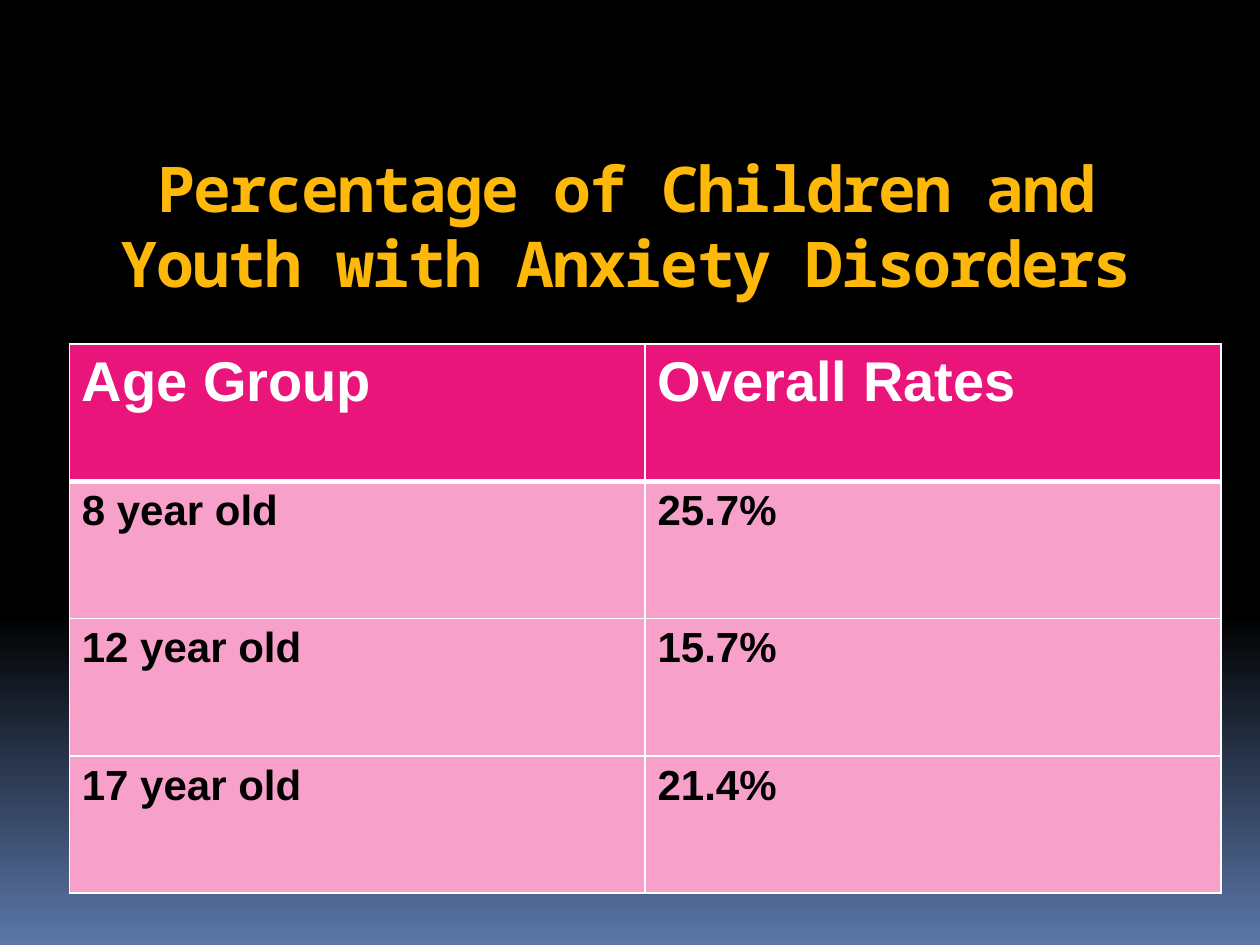
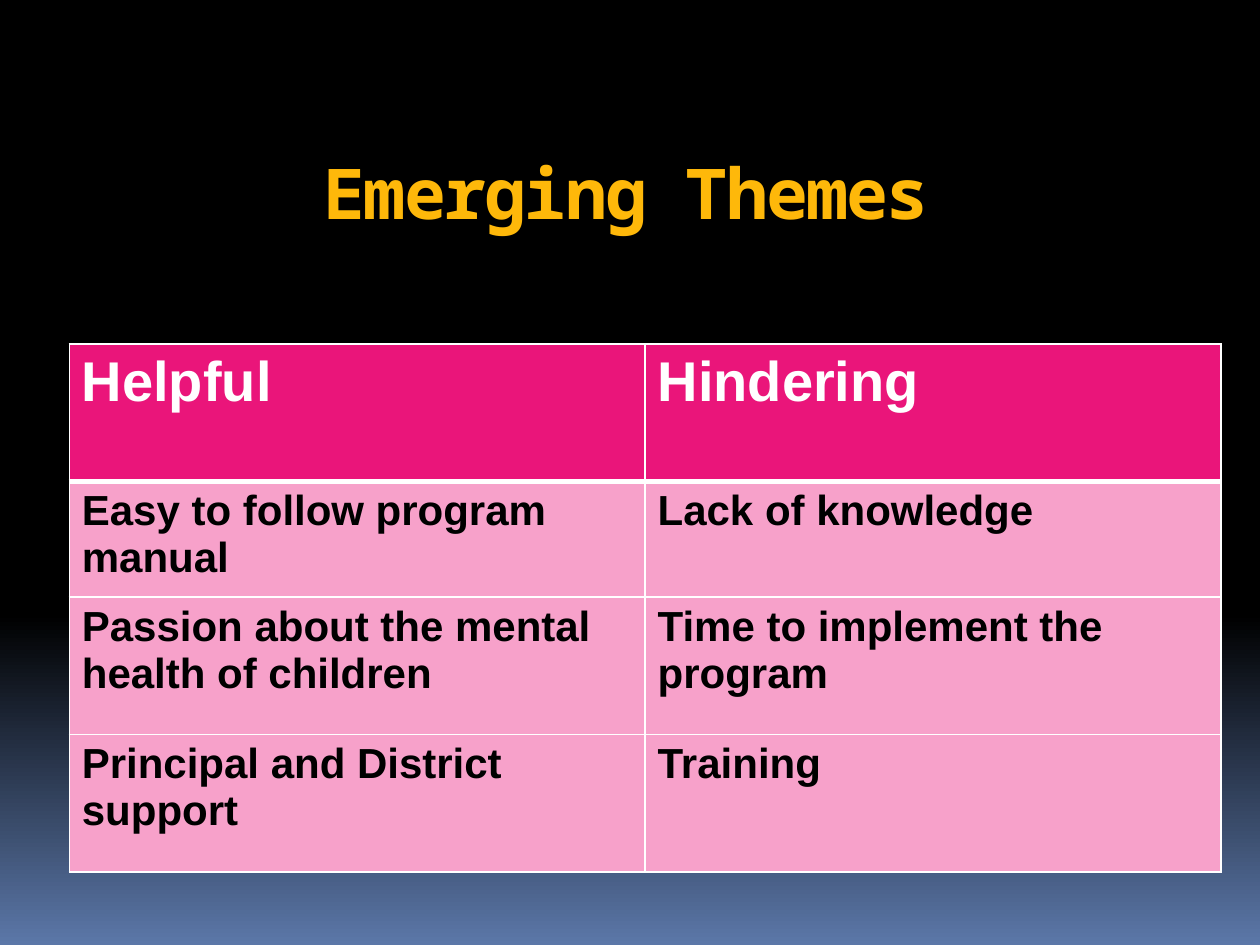
from copy import deepcopy
from dataclasses import dataclass

from lxml.etree import SubElement
from pptx import Presentation
from pptx.dml.color import RGBColor as Color
from pptx.enum.text import MSO_ANCHOR as Anchor, MSO_AUTO_SIZE as AutoSize, PP_ALIGN as Align
from pptx.oxml.ns import qn
from pptx.presentation import Presentation as Deck
from pptx.table import _Cell as Cell
from pptx.util import Inches, Pt

TITLE_ONLY = 5


@dataclass(frozen=True)
class Theme:
    title_font: str = "Noto Sans Mono"
    table_font: str = "Arial"
    title_color: str = "FEB80A"
    header_fill: str = "EA157A"
    body_fill: str = "F7A1CA"
    header_text: str = "FFFFFF"
    body_text: str = "000000"
    border: str = "FFFFFF"
    header_size: int = 32
    body_size: int = 24
    thin: int = 1
    thick: int = 3
    title_leading: float = 1.19
    background: tuple[tuple[float, str], ...] = (
        (0, "000000"), (0.65, "000000"), (1, "5B77A8"))


@dataclass(frozen=True)
class TableSlide:
    title: str
    title_size: int
    rows: tuple[tuple[str, str], ...]
    row_heights: tuple[float, ...]


THEME = Theme()
COLUMN_WIDTH = 4.57

SLIDES = (
    TableSlide(
        "Percentage of Children and Youth with Anxiety Disorders", 36,
        (("Age Group", "Overall Rates"),
         ("8 year old", "25.7%"),
         ("12 year old", "15.7%"),
         ("17 year old", "21.4%")),
        (1.09, 1.09, 1.09, 1.09)),
    TableSlide(
        "Emerging Themes", 40,
        (("Helpful", "Hindering"),
         ("Easy to follow program manual", "Lack of knowledge"),
         ("Passion about the mental health of children", "Time to implement the program"),
         ("Principal and District support", "Training")),
        (1.09, 0.92, 1.09, 1.09)),
)


def set_background(presentation: Deck) -> None:
    """Give every slide the dark gradient through the master."""
    master = presentation.slide_master
    fill = master.background.fill
    fill.gradient()
    fill.gradient_angle = 270
    stop_list = master.element.find(".//" + qn("a:gsLst"))
    stop_list.append(deepcopy(stop_list[0]))
    for stop, (position, color) in zip(fill.gradient_stops, THEME.background):
        stop.position = position
        stop.color.rgb = Color.from_string(color)


def set_title(shape, text: str, size: int) -> None:
    shape.left, shape.top = Inches(0.47), Inches(1.09)
    shape.width, shape.height = Inches(9), Inches(1.25)
    frame = shape.text_frame
    frame.text = text
    frame.word_wrap = True
    frame.auto_size = AutoSize.NONE
    frame.vertical_anchor = Anchor.TOP
    frame.margin_top = Inches(0.1)
    paragraph = frame.paragraphs[0]
    paragraph.alignment = Align.CENTER
    paragraph.line_spacing = Pt(size * THEME.title_leading)
    font = paragraph.font
    font.name, font.size, font.bold = THEME.title_font, Pt(size), True
    font.color.rgb = Color.from_string(THEME.title_color)
    # Tighten the letters by one point
    paragraph.runs[0].font._element.set("spc", "-100")


def set_borders(cell: Cell, top: int, bottom: int) -> None:
    properties = cell._tc.get_or_add_tcPr()
    widths = {"L": THEME.thin, "R": THEME.thin, "T": top, "B": bottom}
    for side, width in widths.items():
        line = SubElement(properties, qn(f"a:ln{side}"), w=str(Pt(width)))
        SubElement(SubElement(line, qn("a:solidFill")), qn("a:srgbClr"), val=THEME.border)


def format_cell(cell: Cell, text: str, row: int) -> None:
    is_header = row == 0
    set_borders(cell,
                top=THEME.thick if row == 1 else THEME.thin,
                bottom=THEME.thick if is_header else THEME.thin)
    cell.fill.solid()
    cell.fill.fore_color.rgb = Color.from_string(
        THEME.header_fill if is_header else THEME.body_fill)
    cell.text = text
    paragraph = cell.text_frame.paragraphs[0]
    paragraph.alignment = Align.LEFT
    font = paragraph.font
    font.name, font.bold, font.italic = THEME.table_font, True, False
    font.size = Pt(THEME.header_size if is_header else THEME.body_size)
    font.color.rgb = Color.from_string(
        THEME.header_text if is_header else THEME.body_text)


def add_table_slide(presentation: Deck, content: TableSlide) -> None:
    slide = presentation.slides.add_slide(presentation.slide_layouts[TITLE_ONLY])
    set_title(slide.shapes.title, content.title, content.title_size)

    column_count = len(content.rows[0])
    table = slide.shapes.add_table(
        len(content.rows), column_count, Inches(0.55), Inches(2.73),
        Inches(COLUMN_WIDTH * column_count), Inches(sum(content.row_heights))).table
    table.horz_banding = False
    for column in table.columns:
        column.width = Inches(COLUMN_WIDTH)
    for row, (texts, height) in enumerate(zip(content.rows, content.row_heights)):
        table.rows[row].height = Inches(height)
        for column, text in enumerate(texts):
            format_cell(table.cell(row, column), text, row)


def main() -> None:
    presentation = Presentation()
    presentation.slide_width, presentation.slide_height = Inches(10), Inches(7.5)
    set_background(presentation)
    for content in SLIDES:
        add_table_slide(presentation, content)
    presentation.save("out.pptx")


if __name__ == "__main__":
    main()
